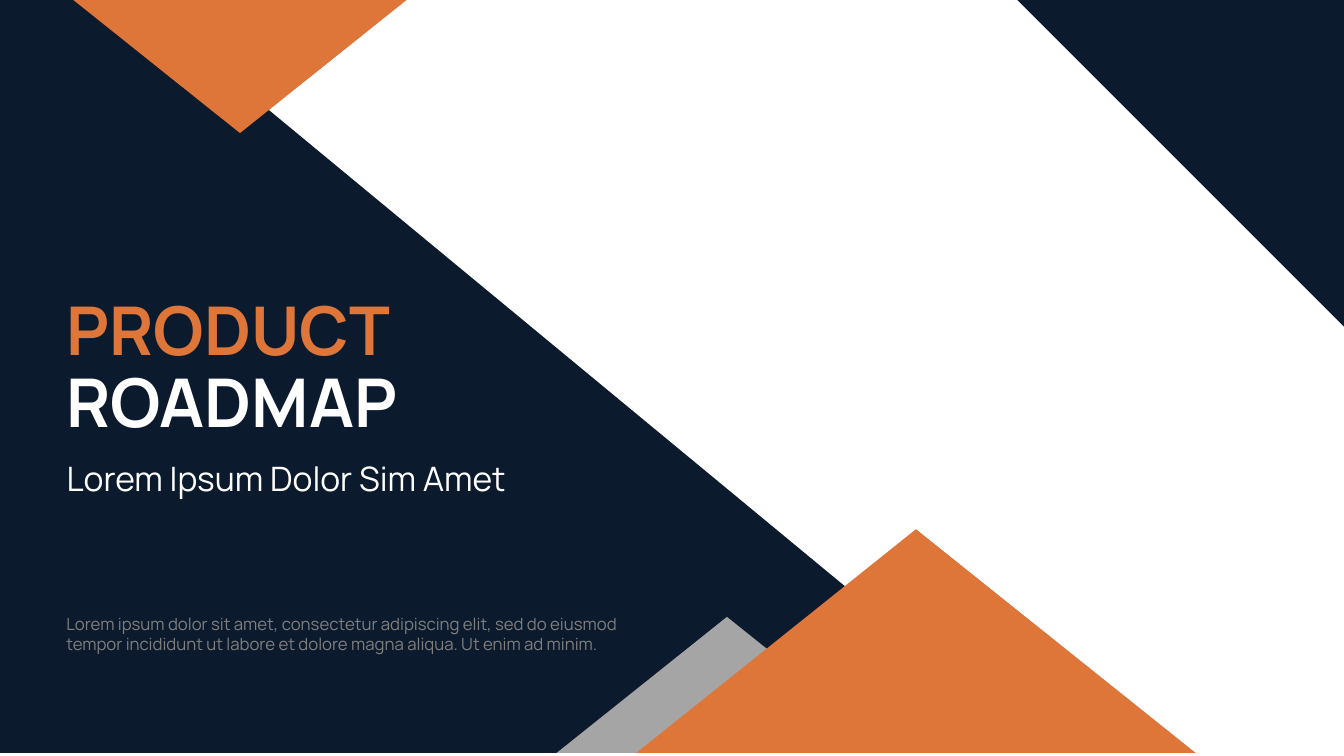
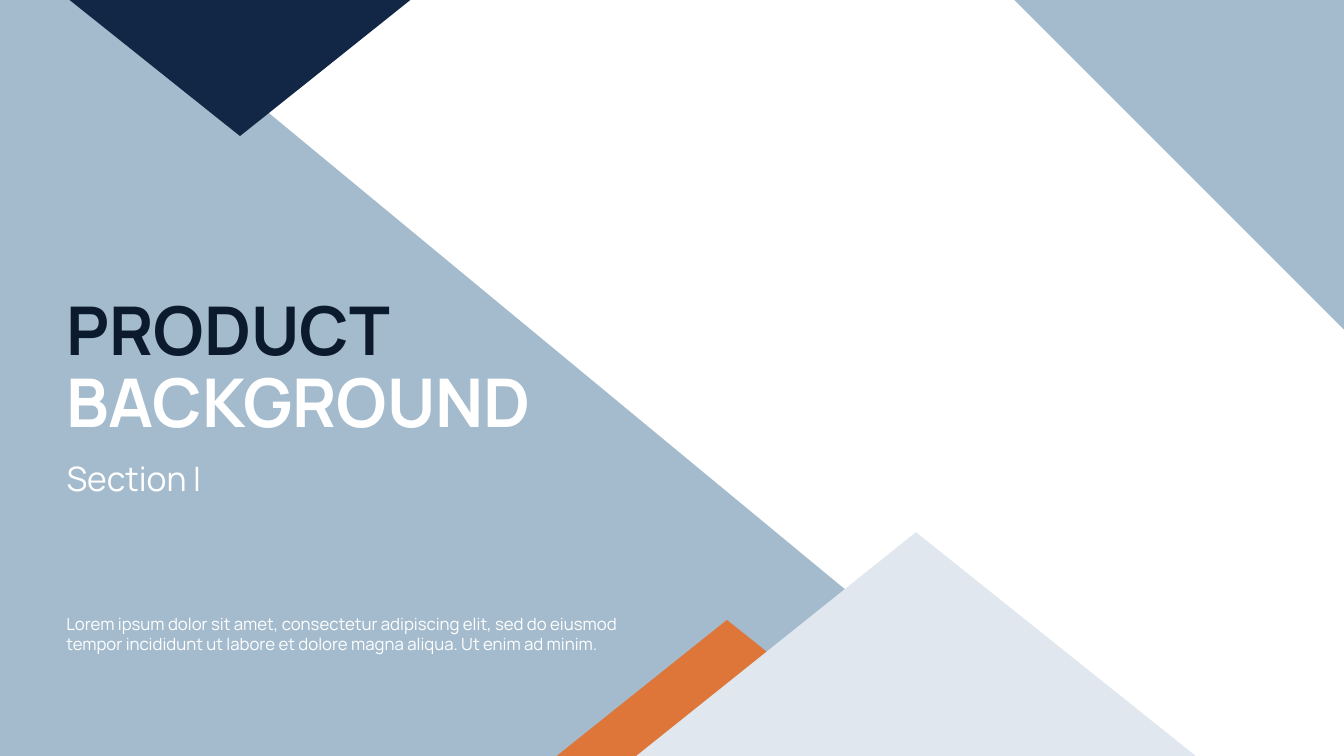
import pptx
import pptx.util
import pptx.dml.color
import pptx.enum.shapes
import pptx.enum.text

Inches = pptx.util.Inches
Shapes = pptx.enum.shapes.MSO_SHAPE

WIDTH, HEIGHT = 13.33, 7.5
FONT = "Manrope"
COLORS = {
    "ink": "0C1A2E",
    "navy": "122745",
    "orange": "DE7639",
    "gray": "A5A5A5",
    "steel": "A4BBCD",
    "mist": "E0E7EF",
    "note": "7F7F7F",
    "white": "FFFFFF",
}
LEFT = 0.56
CORNER = 3.27
SMALL_PEAK = (3.38, 1.35)
LARGE_PEAK = (5.55, 2.22)
NOTE = ("Lorem ipsum dolor sit amet, consectetur adipiscing elit, sed do eiusmod "
        "tempor incididunt ut labore et dolore magna aliqua. Ut enim ad minim.")

COVERS = [
    {
        "title": [("PRODUCT", "orange"), (" ROADMAP", "white")],
        "title_width": 5.2,
        "subtitle": "Lorem Ipsum Dolor Sim Amet",
        "note_color": "note",
        "panel": "ink", "back_peak": "gray", "front_peak": "orange", "top_peak": "orange",
        "shift": -0.03,
    },
    {
        "title": [("PRODUCT ", "ink"), ("BACKGROUND", "white")],
        "title_width": 5.75,
        "subtitle": "Section I",
        "note_color": "white",
        "panel": "steel", "back_peak": "orange", "front_peak": "mist", "top_peak": "navy",
        "shift": 0,
    },
]


def color(name):
    return pptx.dml.color.RGBColor.from_string(COLORS[name])


def paint(shape, name):
    shape.shadow.inherit = False
    shape.fill.solid()
    shape.fill.fore_color.rgb = color(name)
    shape.line.fill.background()


def add_polygon(group, points, name):
    corners = [(Inches(x), Inches(y)) for x, y in points]
    builder = group.shapes.build_freeform(*corners[0])
    builder.add_line_segments(corners[1:], close=True)
    paint(builder.convert_to_shape(), name)


def add_peak(group, left, top, size, name, rotation=0):
    peak = group.shapes.add_shape(
        Shapes.ISOSCELES_TRIANGLE, *map(Inches, (left, top, *size)))
    peak.rotation = rotation
    paint(peak, name)


def add_artwork(page, cover):
    group = page.shapes.add_group_shape()
    page.shapes.element.insert(2, group.element)
    top = cover["shift"]
    bottom = HEIGHT + top
    add_polygon(group, [(0, top), (1.31, top), (10.38, bottom), (0, bottom)], cover["panel"])
    side = CORNER + top
    add_polygon(group, [(WIDTH - side, 0), (WIDTH, 0), (WIDTH, side)], cover["panel"])
    add_peak(group, 5.52, bottom - SMALL_PEAK[1], SMALL_PEAK, cover["back_peak"])
    add_peak(group, 6.31, bottom - LARGE_PEAK[1], LARGE_PEAK, cover["front_peak"])
    add_peak(group, 0.69, top, SMALL_PEAK, cover["top_peak"], 180)


def write(box, bounds, spans, size, bold=False, anchor="TOP", spacing=0.9):
    box.left, box.top, box.width, box.height = map(Inches, bounds)
    frame = box.text_frame
    frame.word_wrap = True
    frame.auto_size = pptx.enum.text.MSO_AUTO_SIZE.NONE
    frame.vertical_anchor = pptx.enum.text.MSO_ANCHOR[anchor]
    para = frame.paragraphs[0]
    para.alignment = pptx.enum.text.PP_ALIGN.LEFT
    para.line_spacing = spacing
    para.space_before = pptx.util.Pt(0)
    for text, name in spans:
        span = para.add_run()
        span.text = text
        span.font.name = FONT
        span.font.size = pptx.util.Pt(size)
        span.font.bold = bold
        span.font.color.rgb = color(name)


def add_cover(deck, cover):
    page = deck.slides.add_slide(deck.slide_layouts[0])
    add_artwork(page, cover)
    write(page.shapes.title, (LEFT, 1.83, cover["title_width"], 2.61),
          cover["title"], 48, bold=True, anchor="BOTTOM")
    write(page.placeholders[1], (LEFT, 4.54, 5.2, 1.4), [(cover["subtitle"], "white")], 24)
    note = page.shapes.add_textbox(0, 0, 0, 0)
    write(note, (LEFT, 6.04, 5.99, 0.61), [(NOTE, cover["note_color"])], 12, spacing=1.0)


def main():
    deck = pptx.Presentation()
    deck.slide_width, deck.slide_height = Inches(WIDTH), Inches(HEIGHT)
    for cover in COVERS:
        add_cover(deck, cover)
    deck.save("out.pptx")


if __name__ == "__main__":
    main()
